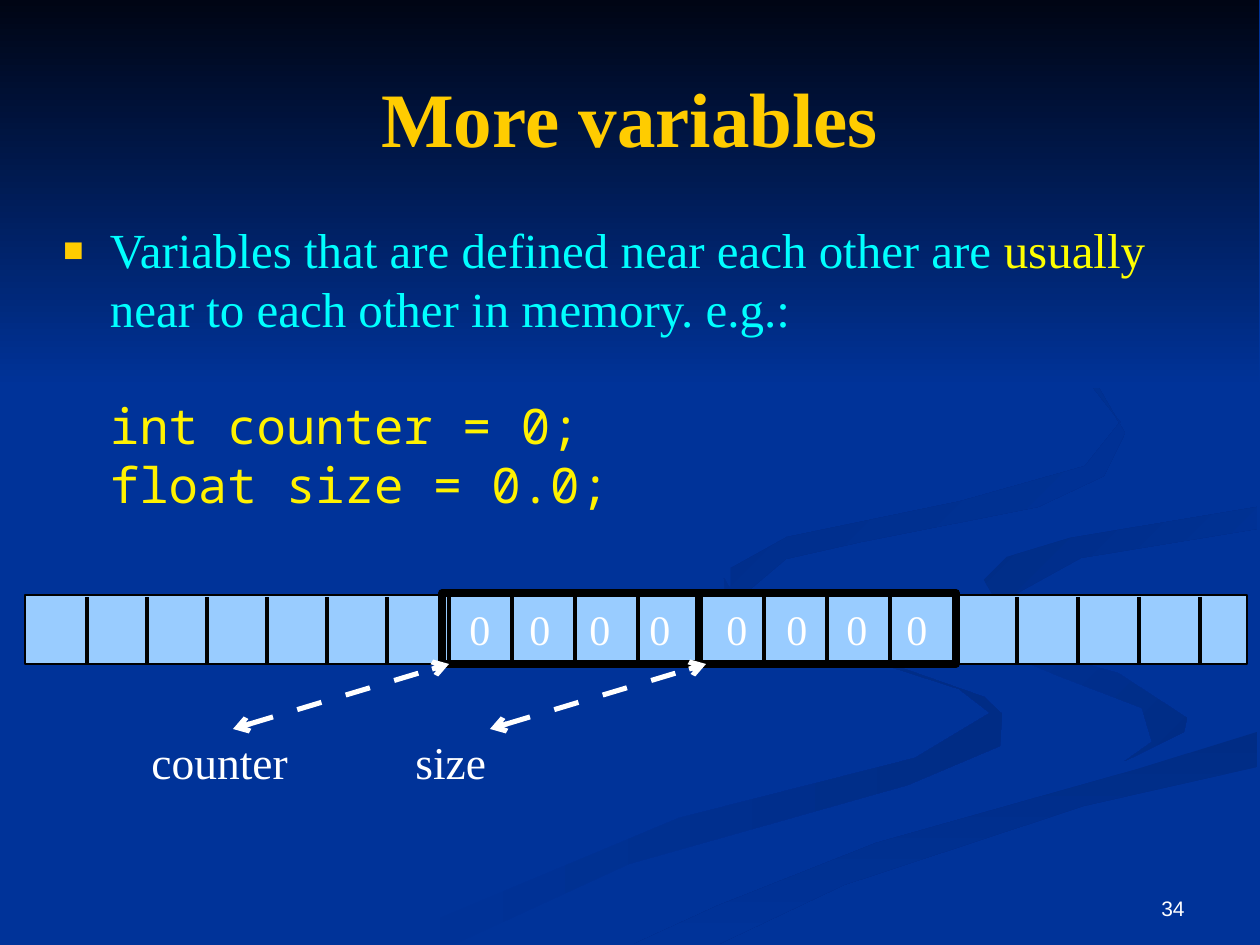
"""Build a slide showing neighbouring variables in a row of memory cells."""
from dataclasses import dataclass

from lxml import etree
from pptx import Presentation
from pptx.dml.color import RGBColor
from pptx.enum.shapes import MSO_CONNECTOR, MSO_SHAPE
from pptx.enum.text import MSO_ANCHOR, MSO_AUTO_SIZE, PP_ALIGN
from pptx.oxml.ns import qn
from pptx.util import Emu, Pt

RECTANGLE = MSO_SHAPE.RECTANGLE
STRAIGHT = MSO_CONNECTOR.STRAIGHT
TOP, MIDDLE, BOTTOM = MSO_ANCHOR.TOP, MSO_ANCHOR.MIDDLE, MSO_ANCHOR.BOTTOM
LEFT, CENTER, RIGHT = PP_ALIGN.LEFT, PP_ALIGN.CENTER, PP_ALIGN.RIGHT
NO_AUTOFIT = MSO_AUTO_SIZE.NONE
SCALE = 914400 / 126


@dataclass(frozen=True)
class Theme:
    """Colours, fonts and type sizes of the slide."""
    background: str = "003399"
    shade: str = "002C85"
    night: str = "000514"
    gold: str = "FFCC00"
    cyan: str = "00FFFF"
    yellow: str = "FFFF00"
    code: str = "FFF200"
    white: str = "FFFFFF"
    black: str = "000000"
    cell: str = "99CCFF"
    serif: str = "Times New Roman"
    mono: str = "Noto Sans Mono"
    sans: str = "Arial"
    title_size: int = 44
    body_size: int = 28
    label_size: int = 26
    value_size: int = 24
    number_size: int = 12
    body_leading: float = 33.5


@dataclass(frozen=True)
class Ribbon:
    """A gradient-filled outline in the backdrop."""
    first: str
    last: str
    angle: int
    points: tuple


@dataclass(frozen=True)
class CellGroup:
    """Evenly spaced cell edges."""
    start: int
    pitch: int
    count: int


@dataclass(frozen=True)
class Variable:
    """A four-byte variable with its label."""
    name: str
    left: int
    label_left: int


THEME = Theme()
RIBBONS = (
    Ribbon(THEME.background, THEME.shade, 0, (
        (984, 697), (859, 653), (740, 606), (724, 578), (726, 605), (794, 636), (959, 689),
        (990, 713), (915, 758), (679, 818), (378, 944), (455, 944), (629, 864), (908, 785),
        (1000, 746), (1002, 714))),
    Ribbon(THEME.background, THEME.shade, 45, (
        (1187, 718), (1118, 673), (975, 634), (912, 585), (931, 622), (1056, 675),
        (1142, 708), (1152, 742), (1125, 761), (1184, 732))),
    Ribbon(THEME.shade, THEME.background, 90, (
        (634, 944), (719, 944), (844, 885), (1084, 806), (1257, 767), (1257, 732),
        (1138, 769), (876, 843), (717, 906))),
    Ribbon(THEME.shade, THEME.background, 45, (
        (984, 580), (997, 602), (1040, 625), (1014, 595), (1081, 558), (1257, 529),
        (1257, 507), (1070, 538), (1007, 557))),
    Ribbon(THEME.shade, THEME.background, 45, (
        (861, 542), (1038, 507), (1104, 476), (1125, 433), (1087, 367), (960, 294),
        (1065, 352), (1120, 422), (1085, 466), (961, 501), (787, 537), (731, 568),
        (731, 597), (784, 630), (747, 592), (786, 559))),
    Ribbon(THEME.night, THEME.background, 90, ((0, 0), (0, 388), (1259, 388), (1259, 0))),
)
CELL_GROUPS = (CellGroup(87, 60, 6), CellGroup(449, 63, 8), CellGroup(956, 61, 5))
BYTE_COUNT, BYTE_PITCH = 4, 60
VARIABLES = (Variable("counter", 442, 139), Variable("size", 699, 403))


def px(*lengths: int) -> list[Emu]:
    """Turn pixel lengths into EMU."""
    return [Emu(round(length * SCALE)) for length in lengths]


def rgb(value: str) -> RGBColor:
    """Read a hexadecimal colour."""
    return RGBColor.from_string(value)


def set_font(font, name: str, size: int, color: str, bold: bool = False) -> None:
    """Apply face, size, colour and weight to a font."""
    font.name, font.size, font.bold = name, Pt(size), bold
    font.color.rgb = rgb(color)


def draw_ribbon(page, ribbon: Ribbon) -> None:
    """Draw one closed gradient outline."""
    builder = page.shapes.build_freeform(*ribbon.points[0], scale=SCALE)
    builder.add_line_segments(ribbon.points[1:], close=True)
    shape = builder.convert_to_shape()
    shape.shadow.inherit = False
    shape.line.fill.background()
    shape.fill.gradient()
    shape.fill.gradient_angle = 360 - ribbon.angle
    for stop, color in zip(shape.fill.gradient_stops, (ribbon.first, ribbon.last)):
        stop.color.rgb = rgb(color)


def draw_box(page, area: tuple, line_width: float, fill: str = "") -> None:
    """Draw a black-edged rectangle, filled or open."""
    box = page.shapes.add_shape(RECTANGLE, *px(*area))
    box.shadow.inherit = False
    box.line.color.rgb = rgb(THEME.black)
    box.line.width = Pt(line_width)
    if fill:
        box.fill.solid()
        box.fill.fore_color.rgb = rgb(fill)
    else:
        box.fill.background()


def draw_line(page, ends: tuple, color: str, width: float, pointer: bool = False) -> None:
    """Draw a straight line, dashed with two arrowheads for a pointer."""
    connector = page.shapes.add_connector(STRAIGHT, *px(*ends))
    connector.line.color.rgb = rgb(color)
    connector.line.width = Pt(width)
    properties = connector.element.spPr
    if pointer:
        outline = properties.find(qn("a:ln"))
        dashes = etree.SubElement(outline, qn("a:custDash"))
        etree.SubElement(dashes, qn("a:ds"), d="500000", sp="500000")
        for end in ("a:headEnd", "a:tailEnd"):
            etree.SubElement(outline, qn(end), type="arrow")
    etree.SubElement(properties, qn("a:effectLst"))


def draw_text(page, text: str, area: tuple, size: int, name: str = THEME.serif,
              align=LEFT, anchor=TOP) -> None:
    """Draw one white line of text."""
    frame = page.shapes.add_textbox(*px(*area)).text_frame
    frame.word_wrap = True
    frame.vertical_anchor = anchor
    para = frame.paragraphs[0]
    para.text, para.alignment = text, align
    set_font(para.font, name, size, THEME.white)


def place_placeholder(placeholder, area: tuple, anchor):
    """Move a placeholder to the front and return its first paragraph."""
    placeholder.left, placeholder.top, placeholder.width, placeholder.height = px(*area)
    placeholder.element.getparent().append(placeholder.element)
    frame = placeholder.text_frame
    frame.word_wrap, frame.auto_size, frame.vertical_anchor = True, NO_AUTOFIT, anchor
    frame.margin_left = frame.margin_right = frame.margin_top = frame.margin_bottom = 0
    return frame.paragraphs[0]


def write_title(page) -> None:
    """Fill the title placeholder."""
    para = place_placeholder(page.shapes.title, (63, 18, 1134, 198), MIDDLE)
    para.text, para.alignment = "More variables", CENTER
    set_font(para.font, THEME.serif, THEME.title_size, THEME.gold, True)


def write_body(page) -> None:
    """Fill the body placeholder with the bullet and its code."""
    para = place_placeholder(page.placeholders[1], (63, 220, 1134, 548), TOP)
    para.line_spacing, para.space_before = Pt(THEME.body_leading), Pt(8)
    properties = para._p.get_or_add_pPr()
    indent = px(47)[0]
    properties.set("marL", str(indent))
    properties.set("indent", str(-indent))
    bullet_color = etree.SubElement(properties, qn("a:buClr"))
    etree.SubElement(bullet_color, qn("a:srgbClr"), val=THEME.gold)
    etree.SubElement(properties, qn("a:buSzPct"), val="70000")
    etree.SubElement(properties, qn("a:buChar"), char="■")
    spans = (
        ("Variables that are defined near each other are ", THEME.serif, THEME.cyan, 0),
        ("usually", THEME.serif, THEME.yellow, 0),
        (" near to each other in memory. e.g.:", THEME.serif, THEME.cyan, 2),
        ("int counter = 0;", THEME.mono, THEME.code, 1),
        ("float size = 0.0;", THEME.mono, THEME.code, 0),
    )
    for text, name, color, breaks in spans:
        span = para.add_run()
        span.text = text
        set_font(span.font, name, THEME.body_size, color)
        for _ in range(breaks):
            para.add_line_break()


def draw_variable(page, variable: Variable) -> None:
    """Draw a variable's bytes, outline, label and pointer."""
    left = variable.left
    for index in range(BYTE_COUNT):
        draw_text(page, "0", (left + 15 + index * BYTE_PITCH, 597, 58, 63), THEME.value_size)
    draw_box(page, (left, 593, 257, 71), 4.31)
    draw_text(page, variable.name, (variable.label_left, 728, 214, 121), THEME.label_size)
    draw_line(page, (left - 209, 729, left + 7, 664), THEME.white, 2.89, pointer=True)


def main() -> None:
    """Build and save the slide."""
    deck = Presentation()
    deck.slide_width, deck.slide_height = px(1260, 945)
    page = deck.slides.add_slide(deck.slide_layouts[1])
    page.background.fill.solid()
    page.background.fill.fore_color.rgb = rgb(THEME.background)
    for ribbon in RIBBONS:
        draw_ribbon(page, ribbon)
    draw_text(page, "34", (903, 862, 294, 65), THEME.number_size, THEME.sans, RIGHT, BOTTOM)
    write_title(page)
    write_body(page)
    draw_box(page, (25, 595, 1222, 69), 0, THEME.cell)
    for group in CELL_GROUPS:
        for index in range(group.count):
            edge = group.start + index * group.pitch
            draw_line(page, (edge, 597, edge, 664), THEME.black, 0)
    for variable in VARIABLES:
        draw_variable(page, variable)
    deck.save("out.pptx")


if __name__ == "__main__":
    main()
